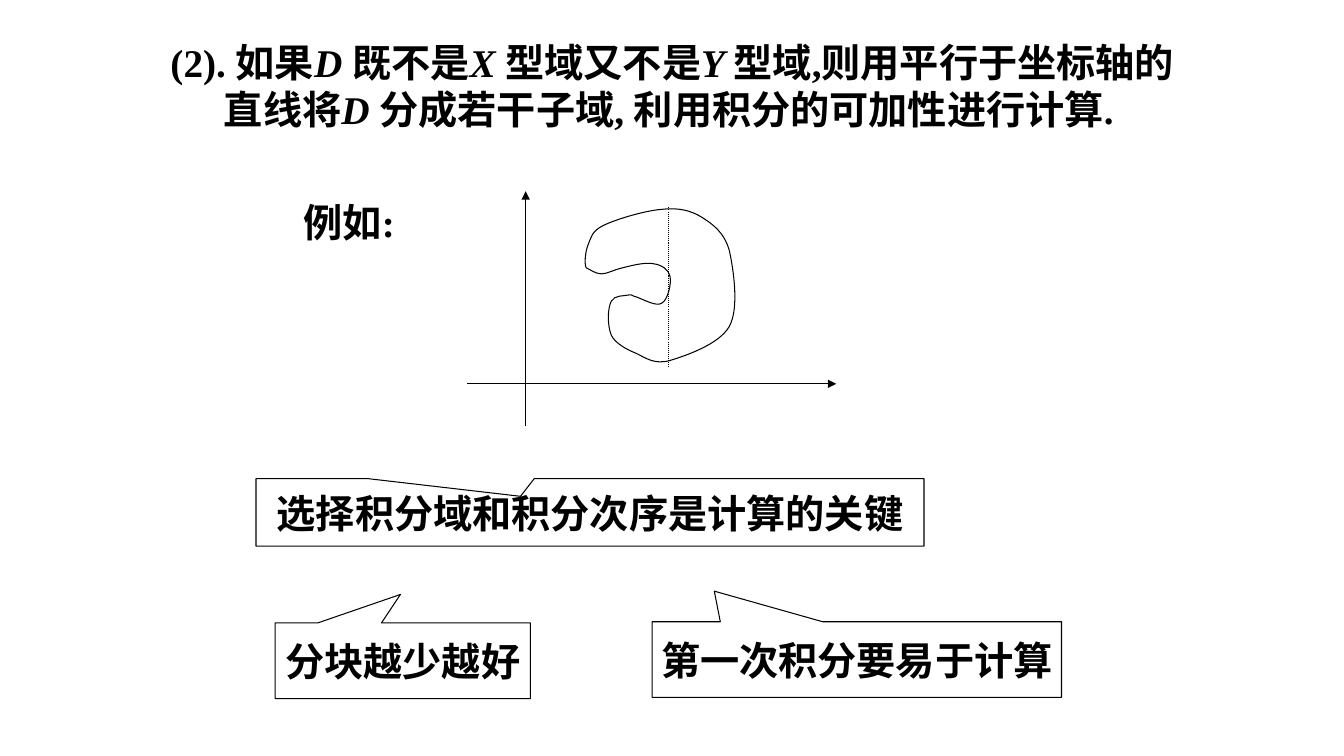
from collections import namedtuple

from lxml.etree import SubElement
from pptx import Presentation
from pptx.dml.color import RGBColor
from pptx.enum.dml import MSO_LINE_DASH_STYLE as Dash
from pptx.enum.shapes import MSO_CONNECTOR, MSO_SHAPE
from pptx.enum.text import MSO_ANCHOR, MSO_AUTO_SIZE, PP_ALIGN
from pptx.oxml.ns import qn
from pptx.util import Inches, Pt

BLACK = RGBColor(0, 0, 0)
SLIDE_WIDTH, SLIDE_HEIGHT = Inches(13.33), Inches(7.5)
Box = namedtuple("Box", "left top width height")

# Each paragraph alternates upright text and italic variables.
STATEMENT = [
    ["(2). 如果", "D ", "既不是", "X ", "型域又不是", "Y ", "型域,则用平行于坐标轴的"],
    ["直线将", "D ", "分成若干子域, 利用积分的可加性进行计算."],
]
# Text, box and pointer offset of each callout.
CALLOUTS = [
    ("选择积分域和积分次序是计算的关键", (19.05, 63.3, 49.7, 8.93), (-0.104, -0.237)),
    ("分块越少越好", (20.48, 82.4, 18.98, 10), (-0.009, -0.877)),
    ("第一次积分要易于计算", (48.52, 82.24, 30.46, 10), (-0.348, -0.905)),
]
DIAGRAM_COLUMNS, DIAGRAM_ROWS = 366, 233
REGION_START = (118, 76)
# Two control points and an end point per Bézier curve, in diagram cells.
REGION_CURVES = [
    ((116, 72), (117, 60), (120, 53)),
    ((123, 46), (123, 40), (135, 34)),
    ((147, 28), (177, 19), (193, 18)),
    ((209, 16), (222, 19), (233, 26)),
    ((244, 33), (255, 41), (260, 59)),
    ((264, 77), (270, 116), (260, 134)),
    ((250, 152), (217, 163), (201, 168)),
    ((186, 172), (178, 166), (168, 161)),
    ((158, 157), (147, 151), (143, 143)),
    ((139, 134), (139, 116), (143, 109)),
    ((146, 103), (156, 104), (160, 103)),
    ((164, 102), (163, 104), (168, 105)),
    ((174, 107), (188, 115), (193, 111)),
    ((199, 108), (203, 91), (201, 84)),
    ((200, 78), (193, 73), (185, 72)),
    ((177, 70), (162, 74), (154, 76)),
    ((145, 78), (139, 82), (133, 82)),
    ((127, 82), (121, 77), REGION_START),
]


def percent_box(left, top, width, height):
    """Turn percentages of the slide into lengths."""
    return Box(int(SLIDE_WIDTH * left / 100), int(SLIDE_HEIGHT * top / 100),
               int(SLIDE_WIDTH * width / 100), int(SLIDE_HEIGHT * height / 100))


def set_font(paragraph):
    font = paragraph.font
    font.name, font.size, font.bold = "Times New Roman", Pt(28), True
    font.color.rgb = BLACK


def set_line(shape):
    shape.line.color.rgb = BLACK
    shape.line.width = Pt(0.75)


def add_text(slide, box, paragraphs, wrap):
    frame = slide.shapes.add_textbox(*box).text_frame
    frame.word_wrap = wrap
    frame.auto_size = MSO_AUTO_SIZE.SHAPE_TO_FIT_TEXT
    for number, parts in enumerate(paragraphs):
        paragraph = frame.add_paragraph() if number else frame.paragraphs[0]
        if number:
            paragraph._p.get_or_add_pPr().set("indent", str(Inches(0.53)))
        set_font(paragraph)
        for index, part in enumerate(parts):
            run = paragraph.add_run()
            run.text = part
            run.font.italic = index % 2 == 1


def add_callout(slide, box, text, pointer):
    callout = slide.shapes.add_shape(MSO_SHAPE.RECTANGULAR_CALLOUT, *box)
    callout.adjustments[0], callout.adjustments[1] = pointer
    callout.shadow.inherit = False
    callout.fill.background()
    set_line(callout)
    frame = callout.text_frame
    frame.word_wrap = False
    frame.vertical_anchor = MSO_ANCHOR.MIDDLE
    paragraph = frame.paragraphs[0]
    paragraph.text = text
    paragraph.alignment = PP_ALIGN.CENTER
    set_font(paragraph)


def add_line(shapes, start, end, arrow=False, dash=None):
    line = shapes.add_connector(MSO_CONNECTOR.STRAIGHT, *start, *end)
    set_line(line)
    if dash:
        line.line.dash_style = dash
    if arrow:
        SubElement(line.line._get_or_add_ln(), qn("a:tailEnd"), type="triangle")
    SubElement(line._element.spPr, qn("a:effectLst"))


def add_region(shapes, place):
    """Build the outline from its end points, then bend each side into a curve."""
    builder = shapes.build_freeform(*place(*REGION_START))
    builder.add_line_segments([place(*curve[-1]) for curve in REGION_CURVES], close=True)
    region = builder.convert_to_shape()
    sides = list(region._element.iter(qn("a:lnTo")))
    for side, curve in zip(sides, REGION_CURVES):
        side.tag = qn("a:cubicBezTo")
        side.clear()
        for point in curve:
            x, y = place(*point)
            SubElement(side, qn("a:pt"), x=str(x - region.left), y=str(y - region.top))
    region.shadow.inherit = False
    region.fill.background()
    set_line(region)


def add_diagram(slide, box):
    """Draw the axes and the region with its dividing line."""
    def place(column, row):
        return (int(box.left + box.width * column / DIAGRAM_COLUMNS),
                int(box.top + box.height * row / DIAGRAM_ROWS))

    shapes = slide.shapes.add_group_shape().shapes
    add_line(shapes, place(0, 191), place(DIAGRAM_COLUMNS, 191), arrow=True)
    add_line(shapes, place(58, DIAGRAM_ROWS), place(58, 0), arrow=True)
    add_line(shapes, place(216, 41), place(216, 41))
    add_region(shapes, place)
    add_line(shapes, place(200, 16), place(200, 175), dash=Dash.ROUND_DOT)


def main():
    presentation = Presentation()
    presentation.slide_width, presentation.slide_height = SLIDE_WIDTH, SLIDE_HEIGHT
    slide = presentation.slides.add_slide(presentation.slide_layouts[6])
    add_text(slide, percent_box(11.95, 4.4, 77.27, 13.87), STATEMENT, wrap=True)
    add_text(slide, percent_box(21.85, 25.6, 8.4, 7.6), [["例如:"]], wrap=False)
    add_diagram(slide, percent_box(34.76, 25.3, 27.46, 31.07))
    for text, box, pointer in CALLOUTS:
        add_callout(slide, percent_box(*box), text, pointer)
    presentation.save("out.pptx")


if __name__ == "__main__":
    main()
